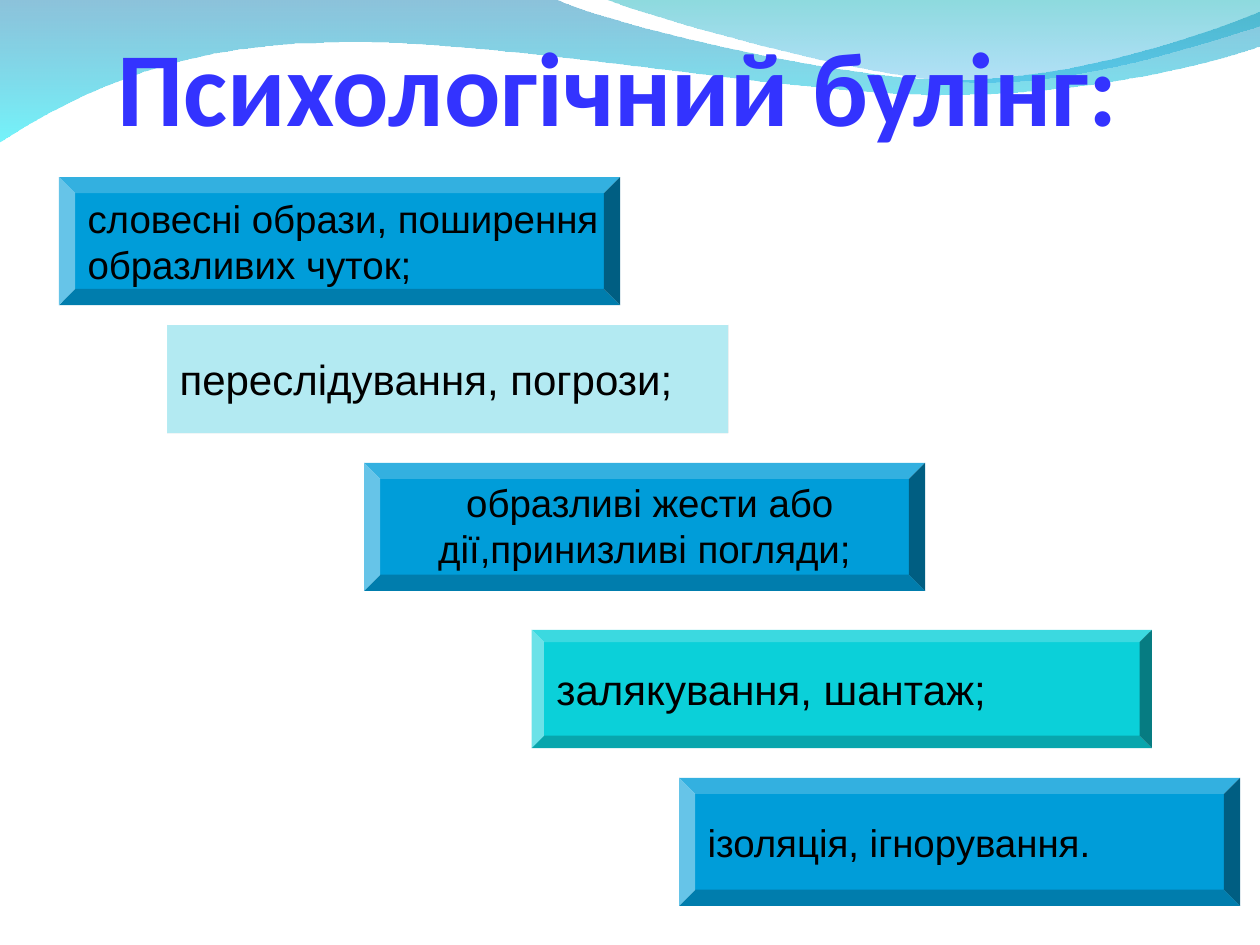
from itertools import chain, islice

from lxml.etree import SubElement
from pptx import Presentation
from pptx.dml.color import RGBColor
from pptx.enum.shapes import MSO_SHAPE
from pptx.enum.text import MSO_ANCHOR, PP_ALIGN
from pptx.oxml.ns import qn
from pptx.util import Cm, Pt

COLORS = {"title": "3333FF", "text": "000000", "blue": "009DD9",
          "teal": "0BD0D9", "pale": "B3EAF2"}

TITLE = "Психологічний булінг: "
GESTURES = "образливі жести або дії,принизливі погляди; "

# Lengths in cm: left, top, width, height, bevel depth, fill, size, lines
BLOCKS = [
    (7.34, 9.33, 11.31, 2.58, 0.126, "blue", 22, []),
    (10.72, 12.7, 12.5, 2.38, 0.104, "teal", 24, ["залякування, шантаж;"]),
    (1.19, 3.57, 11.31, 2.58, 0.126, "blue", 22,
     ["словесні образи, поширення", "образливих чуток;"]),
    (3.37, 6.55, 11.31, 2.18, 0, "pale", 24, ["переслідування, погрози;"]),
    (13.69, 15.68, 11.31, 2.58, 0.126, "blue", 22, ["ізоляція, ігнорування."]),
]

# Each step is one end point (line) or three points (cubic curve), in cm.
# Gradient stops run top to bottom: colour, opacity in percent
WAVES = [
    ((0, -0.03), [
        [(11.18, -0.03)],
        [(12.09, 0.43), (16.87, 1.6), (19.25, 1.6)],
        [(21.67, 1.6), (24.33, 0.66), (25.4, 0.23)],
        [(25.43, 0.91)],
        [(24.97, 1.12), (22.1, 1.93), (18.95, 1.91)],
        [(15.8, 1.91), (9.7, 0.71), (6.53, 0.86)],
        [(3.28, 0.89), (1.17, 2.11), (-0.03, 2.87)],
    ], [("0079AF", 45), ("00EBF8", 55)]),
    ((12.17, -0.03), [
        [(12.93, 0.28), (17.32, 1.57), (19.53, 1.65)],
        [(21.74, 1.75), (24.41, 0.81), (25.4, 0.53)],
        [(25.4, 0)],
    ], [("00ADB6", 45), ("009BE5", 30)]),
]


def rgb(name):
    return RGBColor.from_string(COLORS[name])


def bend(sp, steps):
    """Join each three-point step of the outline into one cubic curve."""
    lines = iter(list(sp._element.iter(qn("a:lnTo"))))
    for step in steps:
        first, *others = islice(lines, len(step))
        if others:
            first.tag = qn("a:cubicBezTo")
            for line in others:
                first.append(line[0])
                line.getparent().remove(line)


def add_wave(s, start, steps, stops):
    fb = s.shapes.build_freeform(*map(Cm, start))
    fb.add_line_segments([(Cm(x), Cm(y)) for x, y in chain(*steps)], close=True)
    sp = fb.convert_to_shape()
    bend(sp, steps)
    sp.shadow.inherit = False
    sp.line.fill.background()
    sp.fill.gradient()
    grad = sp.fill._fill._gradFill
    for child in list(grad):
        grad.remove(child)
    gs_lst = SubElement(grad, qn("a:gsLst"))
    for pos, (color, opacity) in zip((0, 100000), stops):
        gs = SubElement(gs_lst, qn("a:gs"), pos=str(pos))
        clr = SubElement(gs, qn("a:srgbClr"), val=color)
        SubElement(clr, qn("a:alpha"), val=str(opacity * 1000))
    SubElement(grad, qn("a:lin"), ang="5400000", scaled="0")


def write(tf, lines, size, color="text", font="Arial", align=PP_ALIGN.LEFT, bold=False):
    for i, line in enumerate(lines):
        p = tf.add_paragraph() if i else tf.paragraphs[0]
        p.text = line
        p.alignment = align
        p.font.name, p.font.size, p.font.bold = font, Pt(size), bold
        p.font.color.rgb = rgb(color)


def add_text(s, box, text, size, **style):
    tf = s.shapes.add_textbox(*map(Cm, box)).text_frame
    tf.word_wrap = True
    write(tf, [text], size, align=PP_ALIGN.CENTER, **style)
    return tf


def add_block(s, left, top, width, height, depth, fill, size, lines):
    sp = s.shapes.add_shape(MSO_SHAPE.BEVEL, *map(Cm, (left, top, width, height)))
    sp.adjustments[0] = depth
    sp.shadow.inherit = False
    sp.fill.solid()
    sp.fill.fore_color.rgb = rgb(fill)
    sp.line.fill.background()
    tf = sp.text_frame
    tf.word_wrap = False
    tf.vertical_anchor = MSO_ANCHOR.MIDDLE
    write(tf, lines, size)


def main():
    prs = Presentation()
    prs.slide_width, prs.slide_height = Cm(25.4), Cm(19.05)
    s = prs.slides.add_slide(prs.slide_layouts[6])

    # Waves along the top edge
    for wave in WAVES:
        add_wave(s, *wave)

    # Title
    tf = add_text(s, (0, 0, 25.4, 2.97), TITLE, 60,
                  color="title", font="Calibri", bold=True)
    tf.vertical_anchor = MSO_ANCHOR.BOTTOM
    tf.margin_left = tf.margin_right = tf.margin_bottom = 0

    # Staircase of blocks, the middle one labelled by its own text box
    for block in BLOCKS:
        add_block(s, *block)
    add_text(s, (7.74, 9.53, 10.72, 2.13), GESTURES, 22)

    prs.save("out.pptx")


if __name__ == "__main__":
    main()
